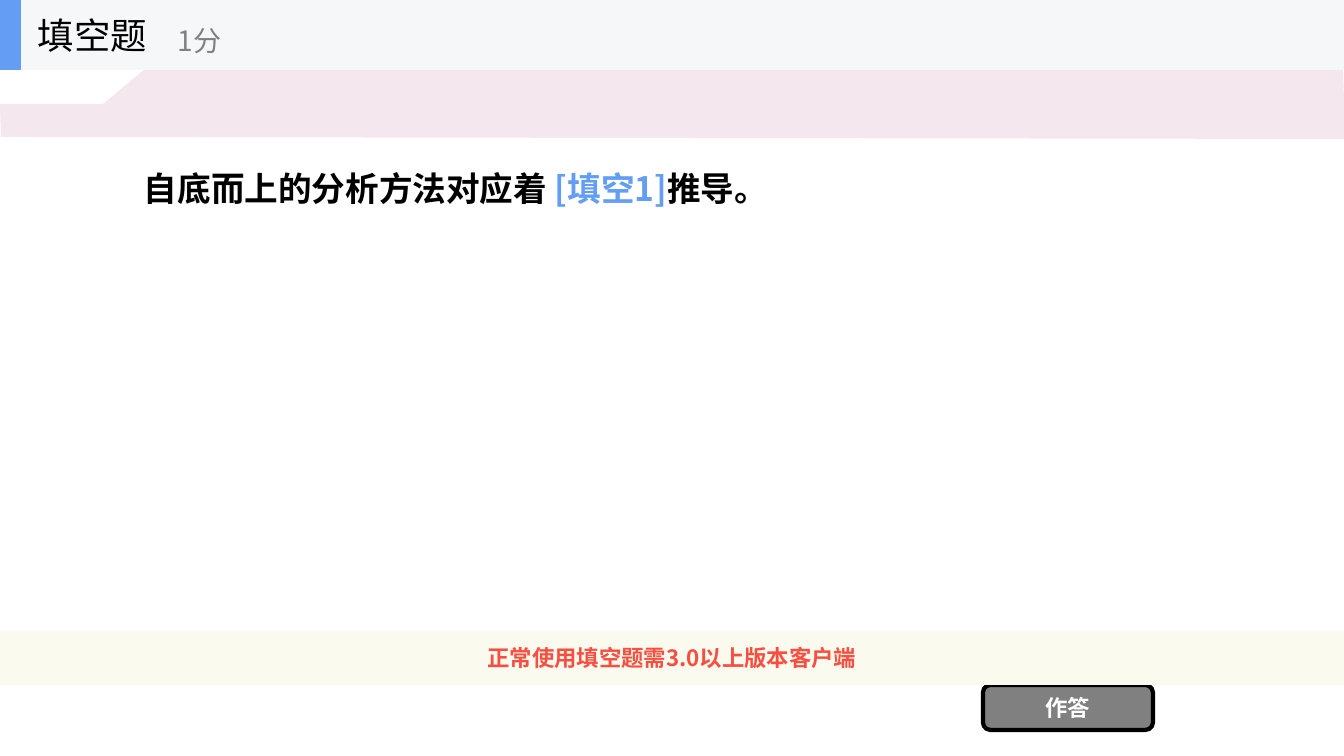
from pptx import Presentation
from pptx.dml.color import RGBColor
from pptx.enum.shapes import MSO_SHAPE as SHAPE
from pptx.enum.text import MSO_ANCHOR as ANCHOR, PP_ALIGN as ALIGN
from pptx.oxml.ns import qn
from pptx.util import Pt

PX = 914400 / 100.8  # EMU in one px
FONT = "Noto Sans CJK SC"
COLORS = {
    "black": "000000", "white": "FFFFFF", "gray": "808080", "blue": "639EF4",
    "red": "F84F41", "pink": "F4E7ED", "cream": "FBFAEF", "bar": "F6F7F8",
}


def px(*values):
    return [round(v * PX) for v in values]


def rgb(name):
    return RGBColor.from_string(COLORS[name])


def write(sp, *runs, size, bold=False, align=ALIGN.LEFT, wrap=True):
    """Fill a shape with one paragraph of (text, color) runs."""
    tf = sp.text_frame
    tf.word_wrap = wrap
    tf.vertical_anchor = ANCHOR.MIDDLE
    p = tf.paragraphs[0]
    p.alignment = align
    for text, color in runs:
        r = p.add_run()
        r.text = text
        r.font.size, r.font.bold, r.font.name = Pt(size), bold, FONT
        r.font.color.rgb = rgb(color)
        ea = r.font._element.makeelement(qn("a:ea"), {"typeface": FONT})
        r.font._element.find(qn("a:latin")).addnext(ea)


class Canvas:
    def __init__(self, slide):
        self.shapes = slide.shapes

    def group(self):
        """Put the elements that follow into a new group."""
        self.shapes = self.shapes.add_group_shape().shapes

    def paint(self, sp, fill, line=None, width=0):
        sp.shadow.inherit = False
        sp.fill.solid()
        sp.fill.fore_color.rgb = rgb(fill)
        if line:
            sp.line.color.rgb = rgb(line)
            sp.line.width = Pt(width)
        else:
            sp.line.fill.background()
        return sp

    def box(self, x, y, w, h, fill, kind=SHAPE.RECTANGLE, **line):
        return self.paint(self.shapes.add_shape(kind, *px(x, y, w, h)), fill, **line)

    def polygon(self, points, fill):
        fb = self.shapes.build_freeform(*points[0], scale=PX)
        fb.add_line_segments(points[1:], close=True)
        return self.paint(fb.convert_to_shape(), fill)

    def text(self, x, y, w, h, *runs, **style):
        write(self.shapes.add_textbox(*px(x, y, w, h)), *runs, **style)


def main():
    prs = Presentation()
    prs.slide_width, prs.slide_height = px(1344, 756)
    c = Canvas(prs.slides.add_slide(prs.slide_layouts[6]))

    # Pink band behind the header
    c.polygon([(0, 104), (103, 104), (181, 39), (504, 39),
               (528, 60), (1343, 59), (1345, 139), (1, 137)], "pink")

    # Question
    c.text(134, 70, 1076, 236, ("自底而上的分析方法对应着 ", "black"),
           ("[填空1]", "blue"), ("推导。", "black"), size=24, bold=True)

    # Answer button and version notice
    button = c.box(983, 685, 170, 45, "gray", SHAPE.ROUNDED_RECTANGLE,
                   line="black", width=3)
    write(button, ("作答", "white"), size=16, bold=True, align=ALIGN.CENTER)
    notice = c.box(0, 631, 1344, 54, "cream")
    write(notice, ("正常使用填空题需3.0以上版本客户端", "red"), size=16, bold=True,
          align=ALIGN.CENTER, wrap=False)

    # Header
    c.group()
    c.box(0, 0, 1344, 70, "bar")
    c.box(0, 0, 21, 70, "blue")
    c.text(28, 0, 210, 70, ("填空题", "black"), size=26, wrap=False)
    c.text(168, 12, 252, 56, ("1分", "gray"), size=20, wrap=False)

    prs.save("out.pptx")


if __name__ == "__main__":
    main()
